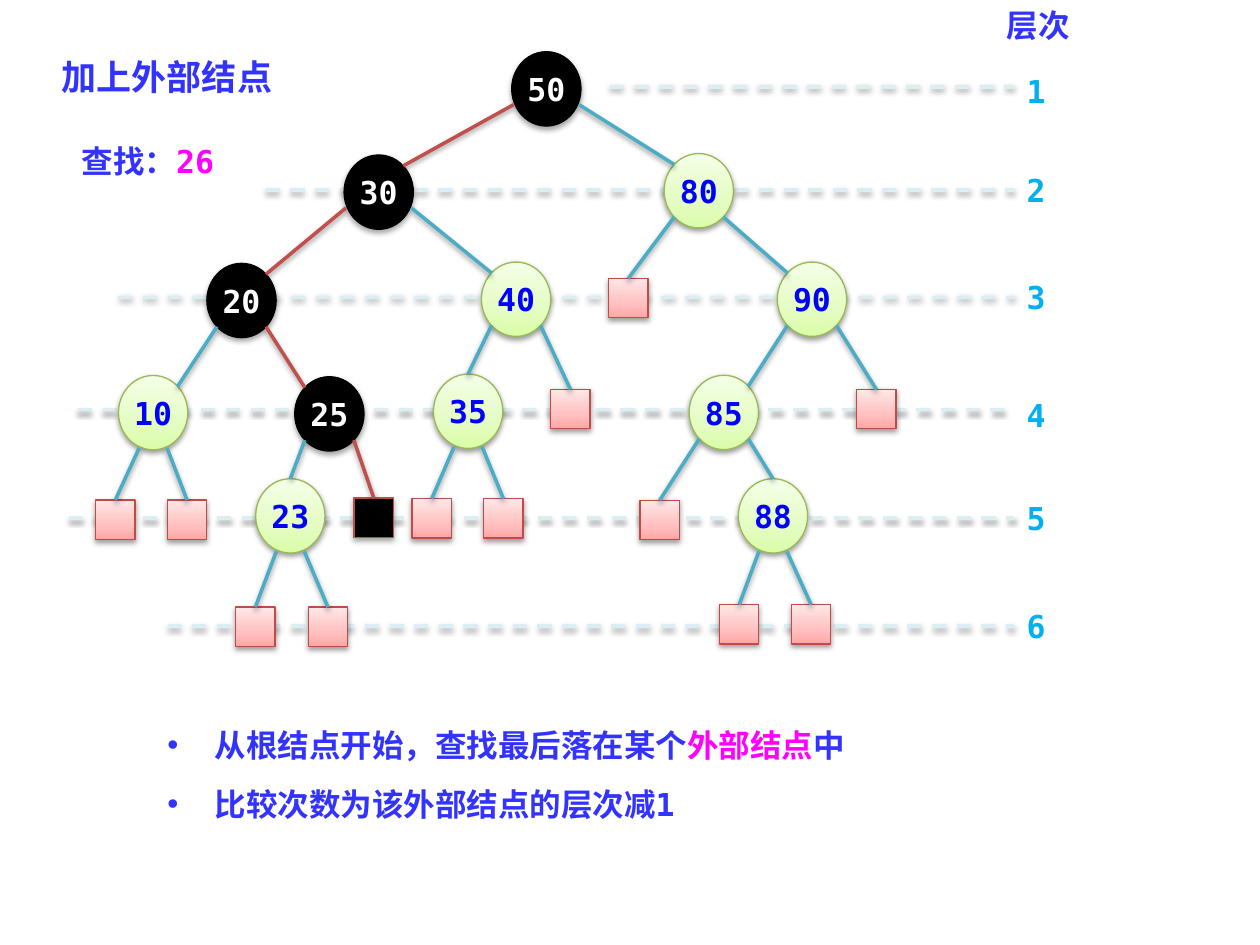
import copy

import lxml.etree
import pptx
import pptx.dml.color
import pptx.enum.dml
import pptx.enum.shapes
import pptx.enum.text
import pptx.oxml.ns
import pptx.util

Pt = pptx.util.Pt
RGB = pptx.dml.color.RGBColor
qn = pptx.oxml.ns.qn
KIND = pptx.enum.shapes.MSO_SHAPE
ALIGN = pptx.enum.text.PP_ALIGN
ANCHOR = pptx.enum.text.MSO_ANCHOR

INK = RGB(0x33, 0x33, 0xFF)
PINK = RGB(0xFF, 0x00, 0xFF)
SKY = RGB(0x00, 0xB0, 0xF0)
PALE = RGB(0xDB, 0xEE, 0xF4)
TEAL = RGB(0x4B, 0xAC, 0xC6)
RED = RGB(0xC0, 0x50, 0x4D)
BLUE = RGB(0x00, 0x00, 0xFF)
BLACK = RGB(0x00, 0x00, 0x00)
WHITE = RGB(0xFF, 0xFF, 0xFF)
LIME = RGB(0x98, 0xB9, 0x55)
ROSE = RGB(0xBF, 0x4C, 0x48)
GREENS = [RGB(0xDA, 0xFD, 0xA7), RGB(0xE4, 0xFC, 0xC2), RGB(0xF5, 0xFF, 0xE7)]
ROSES = [RGB(0xFF, 0xA6, 0xA5), RGB(0xFF, 0xC0, 0xBF), RGB(0xFF, 0xE7, 0xE7)]

MONO, HAN, SERIF = "DejaVu Sans Mono", "Noto Sans CJK SC", "Times New Roman"
WIDE, HIGH, SIDE = 39.6, 42.5, 22.5

# Each node: key, centre x, centre y, left child, right child; "" is an external node
TREE = (
    "50", 264.2, 22.8,
    ("30", 168.4, 81.8,
     ("20", 90, 143.7,
      ("10", 39.5, 207.8, ("", 17.9, 269), ("", 58.9, 269)),
      ("25", 140.2, 208.5,
       ("23", 117.9, 266.8, ("", 97.9, 330.2), ("", 139.4, 330.2)),
       ("", 165.6, 267.8))),
     ("40", 246.9, 143,
      ("35", 219.5, 207, ("", 198.7, 268.3), ("", 239.7, 268.3)),
      ("", 278, 205.8))),
    ("80", 351.3, 81,
     ("", 311, 142.4),
     ("90", 416, 143,
      ("85", 365.6, 207.7,
       ("", 329, 269.1),
       ("88", 393.7, 266.8, ("", 374.4, 328.8), ("", 415.5, 328.8))),
      ("", 452.8, 205.8))))
TRAIL = ["50", "30", "20", "25", ""]

# Each level: line start, line height, label top
LEVELS = [(348.5, 49.7, 37.4), (151.9, 108.7, 94.3), (67.7, 169.9, 155.5),
          (44.6, 234, 222.5), (39.6, 295.9, 281.5), (95.8, 357.8, 343.4)]


def style(run, face, size, tint):
    run.font.size, run.font.bold, run.font.name = Pt(size), True, face
    run.font.color.rgb = tint
    props = run._r.get_or_add_rPr()
    lxml.etree.SubElement(props, qn("a:ea"), typeface=HAN)


def write(para, parts, face, size):
    for words, tint in parts:
        run = para.add_run()
        run.text = words
        style(run, face, size, tint)


def shade(shape, dist=20000, alpha=38000):
    group = lxml.etree.SubElement(shape._element.spPr, qn("a:effectLst"))
    glow = lxml.etree.SubElement(group, qn("a:outerShdw"), blurRad="40000",
                                 dist=str(dist), dir="5400000", rotWithShape="0")
    tone = lxml.etree.SubElement(glow, qn("a:srgbClr"), val="000000")
    lxml.etree.SubElement(tone, qn("a:alpha"), val=str(alpha))


def blend(shape, tints):
    shape.fill.gradient()
    shape.fill.gradient_angle = 90
    stops = shape._element.spPr.find(".//" + qn("a:gsLst"))
    stops.append(copy.deepcopy(stops[0]))
    for stop, tint, place in zip(shape.fill.gradient_stops, tints, (0, 0.35, 1)):
        stop.color.rgb, stop.position = tint, place


def link(slide, start, end, tint, dash=False):
    line = slide.shapes.add_connector(pptx.enum.shapes.MSO_CONNECTOR.STRAIGHT,
                                      *(Pt(v) for v in (*start, *end)))
    line.line.color.rgb, line.line.width = tint, Pt(2)
    if dash:
        line.line.dash_style = pptx.enum.dml.MSO_LINE.DASH
    shade(line)
    return line


def label(slide, box, parts, face=MONO):
    area = slide.shapes.add_textbox(*(Pt(v) for v in box))
    area.text_frame.word_wrap = True
    write(area.text_frame.paragraphs[0], parts, face, 18)


def levels(slide, box):
    left, top, width = box
    for rank, (start, high, head) in enumerate(LEVELS, 1):
        link(slide, (left + start, top + high), (left + width, top + high), PALE, True)
        label(slide, (left + width, top + head, 28.1, 28.8), [(str(rank), SKY)])
    label(slide, (left + width - 11.5, top, 61.9, 28.8), [("层次", INK)], HAN)


def knot(slide, key, mid, hit):
    wide, high = (WIDE, HIGH) if key else (SIDE, SIDE)
    shape = slide.shapes.add_shape(KIND.OVAL if key else KIND.RECTANGLE,
                                   Pt(mid[0] - wide / 2), Pt(mid[1] - high / 2),
                                   Pt(wide), Pt(high))
    if hit:
        shape.fill.solid()
        shape.fill.fore_color.rgb = BLACK
    else:
        blend(shape, GREENS if key else ROSES)
    shape.line.color.rgb = BLACK if hit and key else LIME if key else ROSE
    shape.line.width = Pt(0.75)
    shade(shape, *((23000, 35000) if hit else ()))
    if key:
        frame = shape.text_frame
        frame.margin_left = frame.margin_right = 0
        frame.vertical_anchor = ANCHOR.MIDDLE
        frame.paragraphs[0].alignment = ALIGN.CENTER
        write(frame.paragraphs[0], [(key, WHITE if hit else BLUE)], MONO, 18)
    return shape


def tree(slide, box, node, trail):
    key, x, y, *kids = node
    x, y = box[0] + x, box[1] + y
    hit = bool(trail) and trail[0] == key
    shape = knot(slide, key, (x, y), hit)
    for kid in kids:
        # Only the next key on the trail continues it
        rest = trail[1:] if hit and kid[0] == trail[1] else []
        child = tree(slide, box, kid, rest)
        gap = box[0] + kid[1] - x
        sign = 1 if gap > 0 else -1
        # Shallow, steep and diagonal edges leave the oval at different points
        if abs(gap) > 72:
            out, drop = 18.7, 9
        elif not any(each[0] for each in kids):
            out, drop = 8, 20.3
        else:
            out, drop = 14, 15
        end = (x + gap - sign * 14, box[1] + kid[2] - 15)
        line = link(slide, (x + sign * out, y + drop), end, RED if rest else TEAL)
        if not kid[0] or abs(gap) < 36:
            line.end_connect(child, 0)
    return shape


def settle(holder, box):
    holder.left, holder.top, holder.width, holder.height = (Pt(v) for v in box)
    frame = holder.text_frame
    frame.auto_size = pptx.enum.text.MSO_AUTO_SIZE.NONE
    frame.vertical_anchor = ANCHOR.TOP
    frame.word_wrap = True
    return frame


def title(slide, box):
    para = settle(slide.shapes.title, box).paragraphs[0]
    para.alignment = ALIGN.LEFT
    write(para, [("加上外部结点", INK)], SERIF, 20)


def notes(slide, box):
    frame = settle(slide.placeholders[1], box)
    frame.margin_left, frame.margin_top, frame.margin_bottom = Pt(11.5), Pt(8.6), Pt(8.6)
    lines = [[("从根结点开始，查找最后落在某个", INK), ("外部结点", PINK), ("中", INK)],
             [("比较次数为该外部结点的层次减1", INK)]]
    for rank, parts in enumerate(lines):
        para = frame.add_paragraph() if rank else frame.paragraphs[0]
        para.line_spacing, para.space_before = Pt(28), Pt(6 if rank else 0)
        props = para._p.get_or_add_pPr()
        props.set("marL", str(Pt(27)))
        props.set("indent", str(Pt(-27)))
        lxml.etree.SubElement(props, qn("a:buFont"), typeface="Arial")
        lxml.etree.SubElement(props, qn("a:buChar"), char="•")
        write(para, parts, MONO, 18)


def main():
    deck = pptx.Presentation()
    deck.slide_width, deck.slide_height = Pt(720), Pt(540)
    slide = deck.slides.add_slide(deck.slide_layouts[1])
    # Heading and search key
    title(slide, (28.1, 28.1, 174.2, 31.7))
    label(slide, (39.6, 77.8, 106.6, 28.8), [("查找：", INK), ("26", PINK)])
    # Level guides behind the tree
    levels(slide, (0, 0, 579.6))
    tree(slide, (48, 28), TREE, TRAIL)
    # Conclusions
    notes(slide, (84.2, 399.6, 444.2, 79.9))
    deck.save("out.pptx")


if __name__ == "__main__":
    main()
